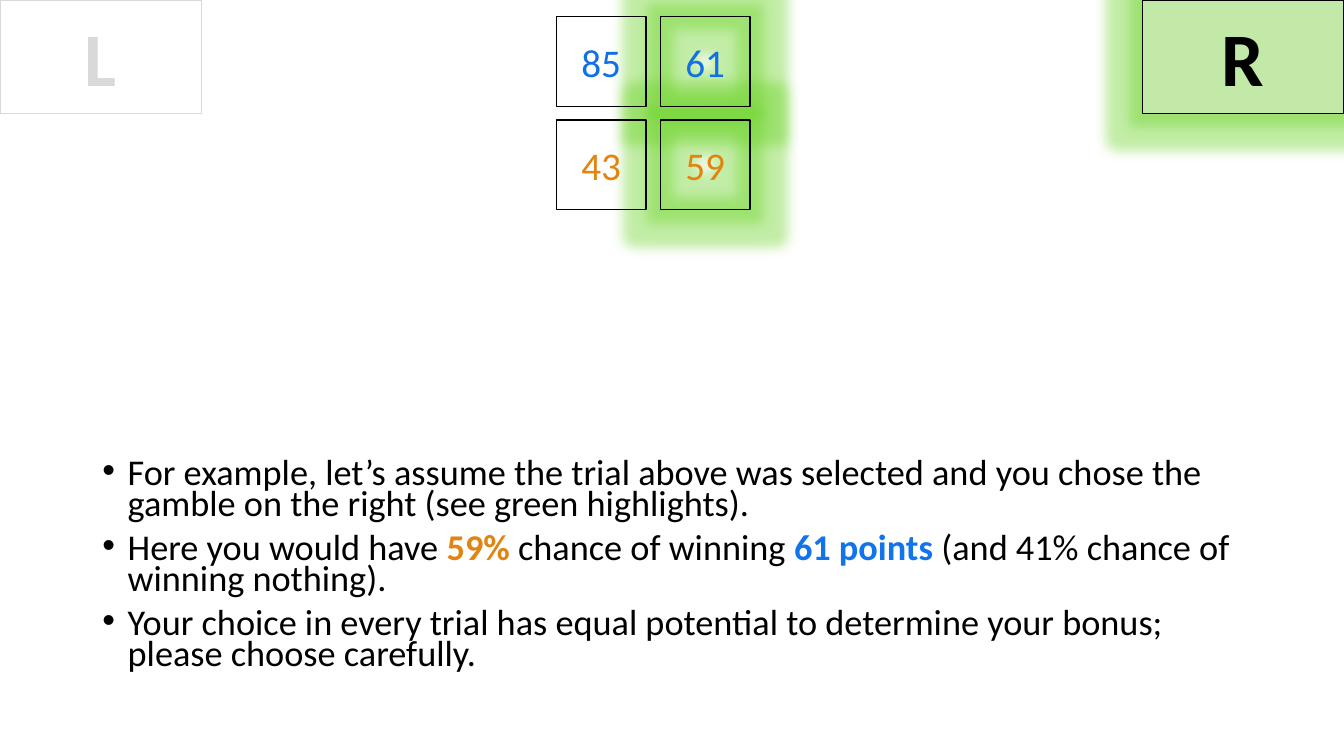
"""Builds the gamble example slide with highlighted right-hand choice."""
from lxml import etree
from pptx import Presentation
from pptx.dml.color import RGBColor
from pptx.enum.shapes import MSO_SHAPE
from pptx.enum.text import MSO_ANCHOR, MSO_AUTO_SIZE, PP_ALIGN
from pptx.oxml.ns import qn
from pptx.util import Pt

RECT = MSO_SHAPE.RECTANGLE
MIDDLE = MSO_ANCHOR.MIDDLE
CENTER = PP_ALIGN.CENTER
NO_AUTOFIT = MSO_AUTO_SIZE.NONE
FONT = "Calibri"
COLORS = {
    "black": "000000", "white": "FFFFFF", "grey": "D9D9D9", "blue": "1170E3",
    "points": "1274EC", "orange": "E38411", "pale": "E2F0D9", "glow": "68D321",
}


def add_box(left, top, width, height, line, text="", size=28, color="black", bold=False):
    sp = slide.shapes.add_shape(RECT, Pt(left), Pt(top), Pt(width), Pt(height))
    sp.shadow.inherit = False
    sp.fill.background()
    sp.line.color.rgb = RGBColor.from_string(COLORS[line])
    sp.line.width = Pt(1)
    if text:
        tf = sp.text_frame
        tf.vertical_anchor = MIDDLE
        p = tf.paragraphs[0]
        p.alignment = CENTER
        add_run(p, text, size, color, bold)
    return sp


def add_run(p, text, size, color, bold=False):
    r = p.add_run()
    r.text = text
    r.font.name = FONT
    r.font.size = Pt(size)
    r.font.bold = bold
    r.font.color.rgb = RGBColor.from_string(COLORS[color])


prs = Presentation()
prs.slide_width, prs.slide_height = Pt(960), Pt(540)
slide = prs.slides.add_slide(prs.slide_layouts[1])
title, body = slide.placeholders
title.element.getparent().remove(title.element)

CELL, LEFT, TOP = 64, 397.5, 12
COL_STEP, ROW_STEP = 74.2, 73.8
highlights = [
    add_box(LEFT + COL_STEP, TOP + row * ROW_STEP, CELL, CELL, "white") for row in range(2)
]

body.left, body.top, body.width, body.height = Pt(66), Pt(326), Pt(828), Pt(171.5)
tf = body.text_frame
tf.word_wrap = True
tf.auto_size = NO_AUTOFIT
bullets = [
    [("For example, let’s assume the trial above was selected and you chose the "
      "gamble on the right (see green highlights).", "black", False)],
    [("Here you would have ", "black", False), ("59% ", "orange", True),
     ("chance of winning ", "black", False), ("61 points ", "points", True),
     ("(and 41% chance of winning nothing).", "black", False)],
    [("Your choice in every trial has equal potential to determine your bonus; "
      "please choose carefully.", "black", False)],
]
for i, runs in enumerate(bullets):
    p = tf.add_paragraph() if i else tf.paragraphs[0]
    p.line_spacing = 0.7
    p.space_before = Pt(10 if i else 0)
    pPr = p._p.get_or_add_pPr()
    pPr.set("marL", str(Pt(18)))
    pPr.set("indent", str(Pt(-18)))
    etree.SubElement(pPr, qn("a:buFont"), typeface="Arial")
    etree.SubElement(pPr, qn("a:buChar"), char="•")
    for text, color, bold in runs:
        add_run(p, text, 25.9, color, bold)

for row, (color, values) in enumerate([("blue", ("85", "61")), ("orange", ("43", "59"))]):
    for col, value in enumerate(values):
        add_box(LEFT + col * COL_STEP, TOP + row * ROW_STEP, CELL, CELL, "black", value, 28, color)

left_key = add_box(0, 0, 144, 81, "grey", "L", 54, "grey", True)
left_key.fill.solid()
left_key.fill.fore_color.rgb = RGBColor.from_string(COLORS["white"])

right_key = add_box(816, 0, 144, 81, "black", "R", 54, "black", True)
right_key.fill.solid()
right_key.fill.fore_color.rgb = RGBColor.from_string(COLORS["pale"])
fill_color = right_key.element.spPr.find(qn("a:solidFill"))[0]
etree.SubElement(fill_color, qn("a:alpha"), val="54000")

for sp in highlights + [right_key]:
    effects = sp.element.spPr.find(qn("a:effectLst"))
    glow = etree.SubElement(effects, qn("a:glow"), rad=str(Pt(18)))
    glow_color = etree.SubElement(glow, qn("a:srgbClr"), val=COLORS["glow"])
    etree.SubElement(glow_color, qn("a:alpha"), val="40000")

prs.save("out.pptx")
